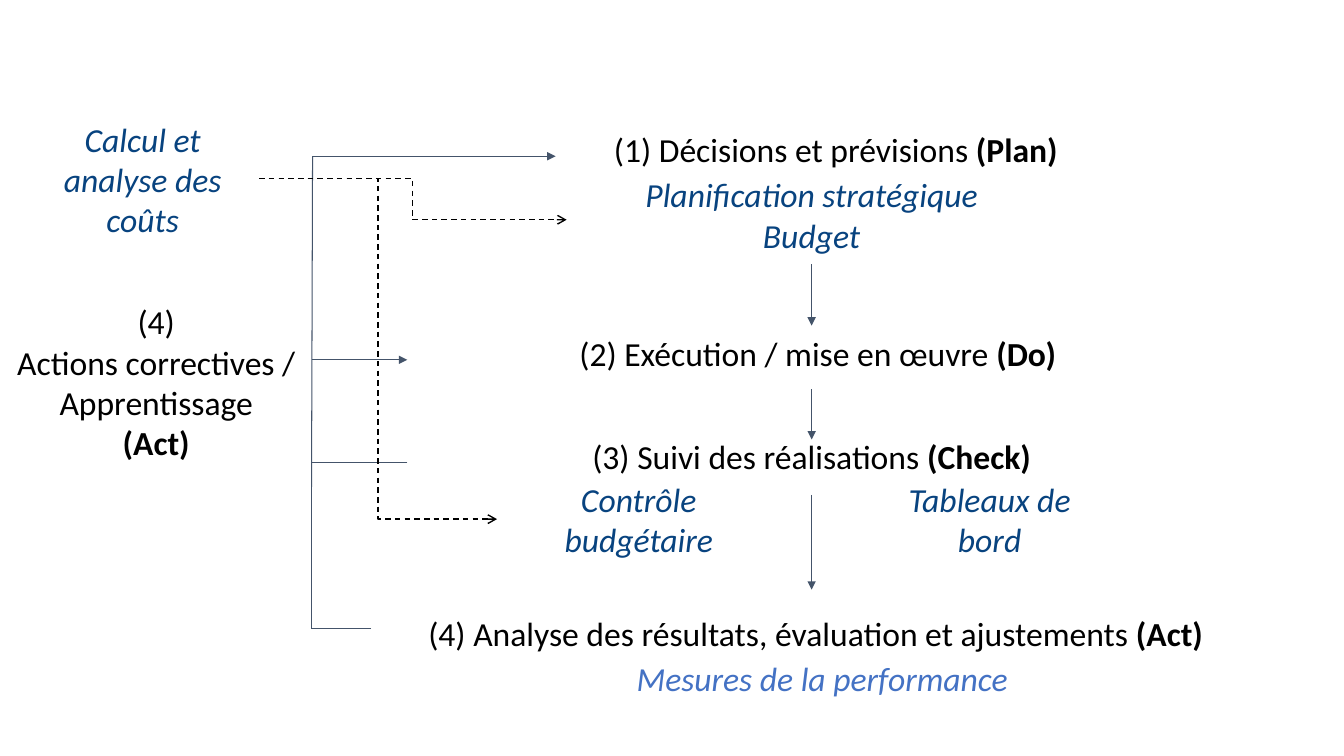
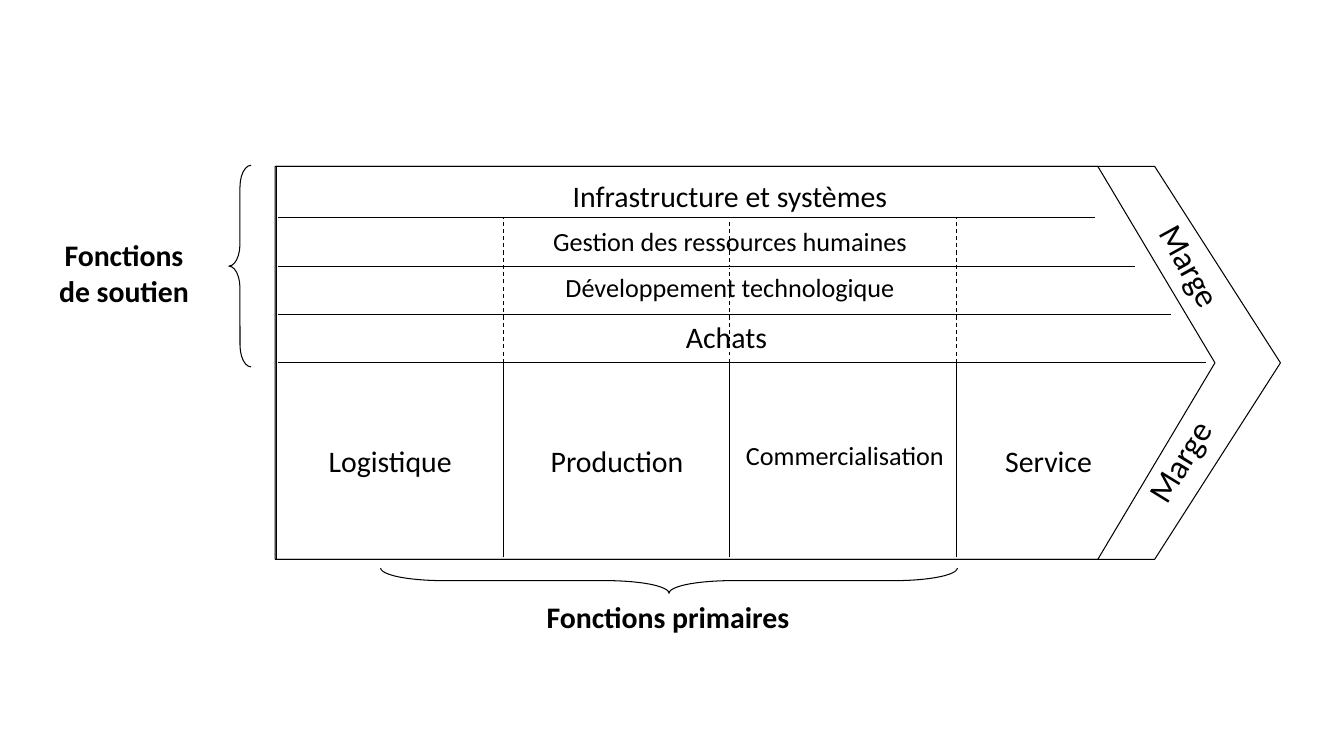
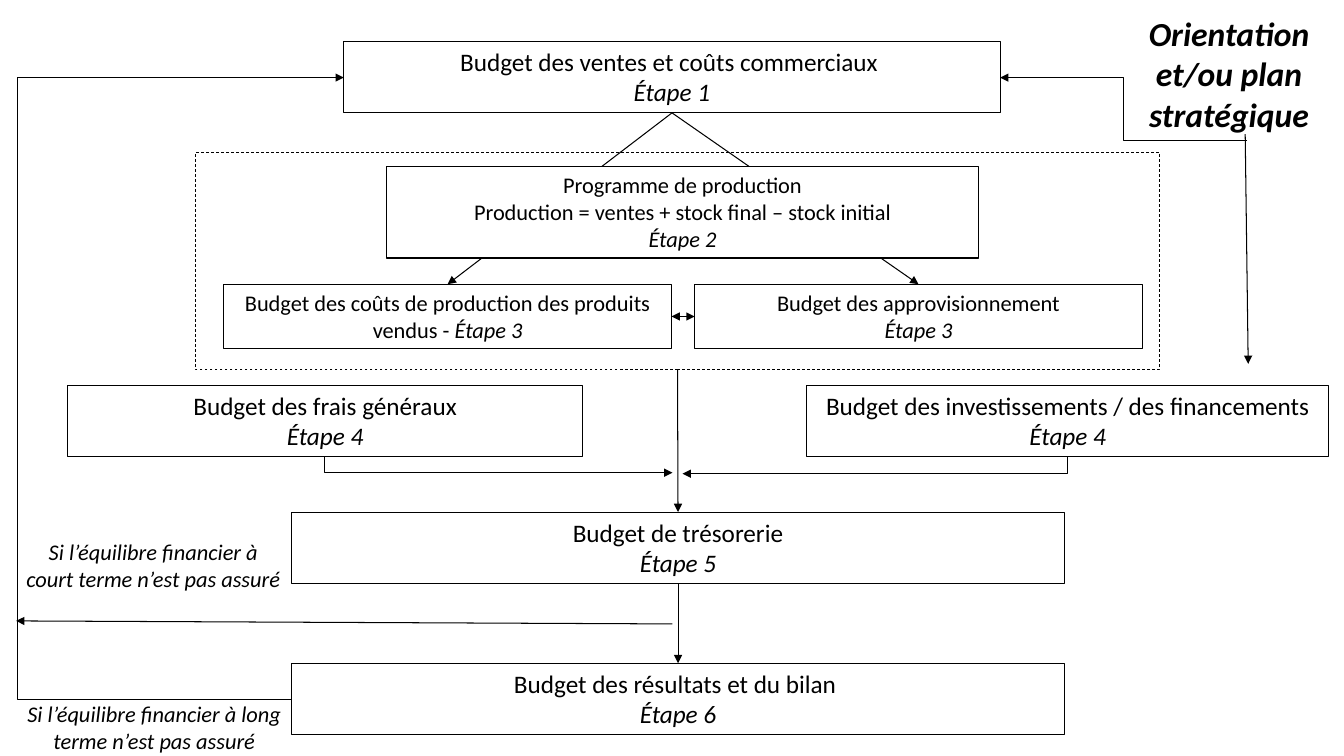
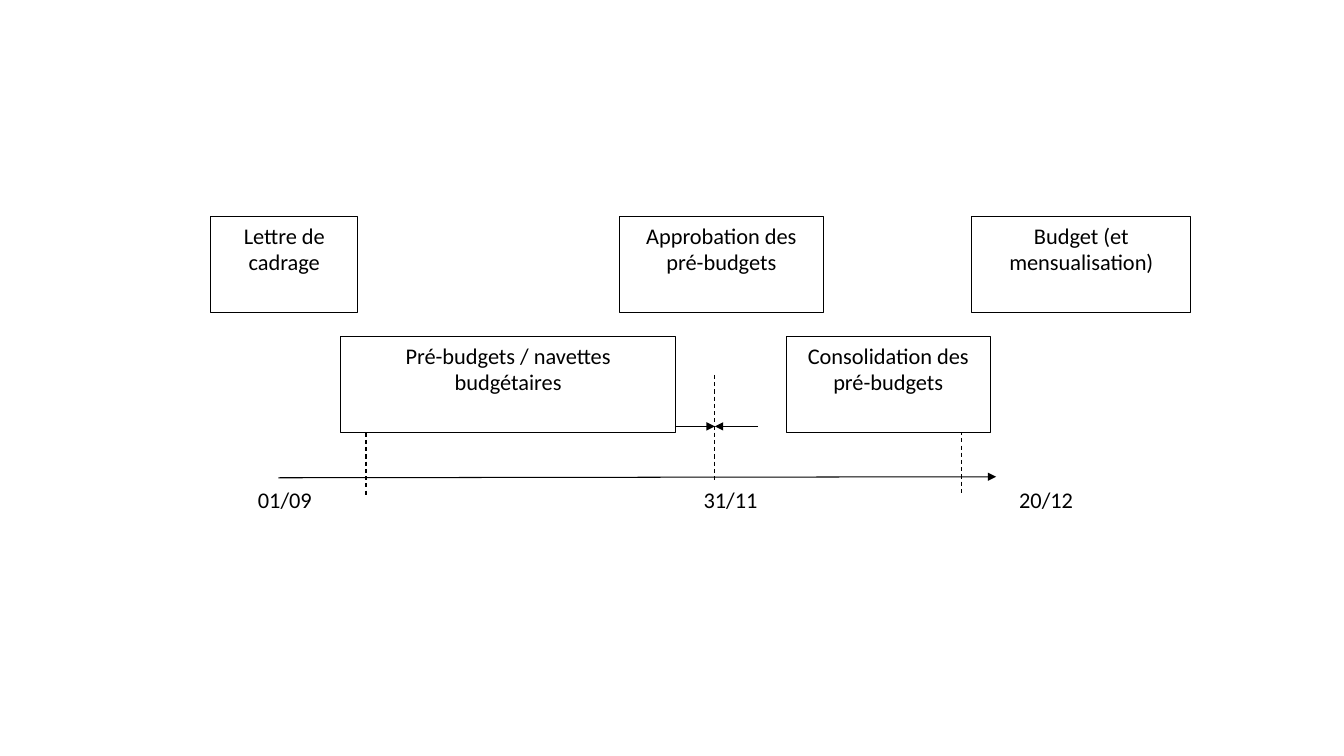
from lxml.etree import SubElement
from pptx import Presentation
from pptx.dml.color import RGBColor
from pptx.enum.dml import MSO_LINE_DASH_STYLE as Dash
from pptx.enum.shapes import MSO_CONNECTOR as Link, MSO_SHAPE as Shape
from pptx.enum.text import MSO_ANCHOR as Anchor, PP_ALIGN as Align
from pptx.oxml.ns import qn
from pptx.util import Inches, Pt

# Shared style
FONT = "Calibri"
BLACK, WHITE, NAVY, BLUE, SLATE = "000000", "FFFFFF", "08437F", "4472C4", "44546A"
THIN = 0.75
BOLD, ITALIC = {"bold": True}, {"italic": True}

# Slide 1: management cycle; (place, paragraphs, format)
TOOL = dict(size=24, color=NAVY, italic=True)
STEP = dict(size=24)
CYCLE_TEXTS = [
    ((5.53, 1.68, 5.04, 0.91), ["Planification stratégique", "Budget"], TOOL),
    ((5.62, 3.25, 4.98, 0.5), [["(2) Exécution / mise en œuvre ", ("(Do)", BOLD)]], dict(STEP, wrap=False)),
    ((5.51, 1.23, 5.56, 0.5), [["(1) Décisions et prévisions ", ("(Plan)", BOLD)]], STEP),
    ((4.93, 4.7, 2.81, 0.91), ["Contrôle budgétaire"], TOOL),
    ((8.57, 4.7, 2.49, 0.91), ["Tableaux de bord"], TOOL),
    ((5.11, 4.28, 5.88, 0.5), [["(3) Suivi des réalisations ", ("(Check)", BOLD)]], STEP),
    ((4.11, 6.03, 7.96, 0.5),
     [["(4) Analyse des résultats, évaluation et ajustements ", ("(Act)", BOLD)]], dict(STEP, wrap=False)),
    ((-0.05, 2.94, 3.2, 1.72),
     ["(4)", "Actions correctives /", "Apprentissage", [("(Act)", BOLD)]], STEP),
    ((0.26, 1.05, 2.31, 1.45), ["Calcul et analyse des coûts"],
     dict(TOOL, kind=Shape.ROUNDED_RECTANGLE, anchor=Anchor.MIDDLE)),
    ((5.53, 6.48, 5.25, 0.5), ["Mesures de la performance"], dict(TOOL, color=BLUE)),
]
SPINE_X, DOWN_X = 3.09, 8.05
CYCLE_LINES = [  # start, end, arrowhead
    ((4.04, 4.59), (SPINE_X, 4.59), None),
    ((SPINE_X, 4.83), (3.1, 1.55), None),
    ((SPINE_X, 6.24), (SPINE_X, 4.83), None),
    ((3.68, 6.24), (SPINE_X, 6.24), None),
    ((3.1, 1.55), (5.51, 1.55), "triangle"),
    ((SPINE_X, 3.57), (4.04, 3.57), "triangle"),
] + [((DOWN_X, top), (DOWN_X, bottom), "triangle")
     for top, bottom in ((2.62, 3.23), (3.86, 4.36), (4.91, 5.85))]
COST_EXIT = (2.57, 1.77)
COST_LINKS = [((5.62, 2.18), 4.09), ((4.93, 5.15), 3.75)]  # end, x of bend

# Slide 2: value chain
PLATES = [((2.73, 1.65, 9.97, 3.9), 0.32), ((2.74, 1.65, 9.31, 3.9), 0.298)]
ROW_TOP, ROW_STEP, ROW_ENDS = 2.16, 0.48, [10.86, 11.26, 11.61, 11.96]
COLUMN_LEFT, COLUMN_STEP = 4.99, 2.25
SUPPORT = [  # text, place, size
    ("Infrastructure et systèmes", (5.12, 1.71, 4.24, 0.46), 21.3),
    ("Gestion des ressources humaines", (5.12, 2.19, 4.24, 0.46), 18.7),
    ("Développement technologique", (5.12, 2.64, 4.24, 0.46), 18.7),
    ("Achats", (6.05, 3.11, 2.31, 0.42), 21.3),
]
PRIMARY = [  # text, centre, width, top, size
    ("Logistique", 3.87, 2.31, 4.34, 21.3),
    ("Production", 6.12, 2.31, 4.34, 21.3),
    ("Commercialisation", 8.38, 2.58, 4.31, 18.7),
    ("Service", 10.4, 2.31, 4.34, 21.3),
]
BRACES = [((2.27, 1.64, 0.22, 2), 0, 0.99), ((6.51, 2.9, 0.25, 5.72), 270, 2.49)]
GROUPS = [("Fonctions de soutien", (0.38, 2.3, 1.7, 0.68)),
          ("Fonctions primaires", (5.1, 5.89, 3.05, 0.68))]
MARGINS = [((11.15, 4.32, 1.09, 0.5), 301.5), ((11.27, 2.39, 1.09, 0.5), 61.1)]

# Slide 3: budget sequence; name: (place, paragraphs, size, fill)
BUDGETS = {
    "sales": ((3.41, 0.41, 6.51, 0.71),
              ["Budget des ventes et coûts commerciaux ", [("Étape 1", ITALIC)]], 18, WHITE),
    "costs": ((2.22, 2.82, 4.44, 0.64),
              [["Budget des coûts de production des produits vendus - ", ("Étape 3", ITALIC)]], 16, WHITE),
    "overheads": ((0.67, 3.82, 5.11, 0.71),
                  ["Budget des frais généraux", [("Étape 4", ITALIC)]], 18, WHITE),
    "supplies": ((6.89, 2.82, 4.44, 0.64),
                 ["Budget des approvisionnement", [("Étape 3", ITALIC)]], 16, WHITE),
    "cash": ((2.89, 5.08, 7.67, 0.71), ["Budget de trésorerie", [("Étape 5", ITALIC)]], 18, None),
    "results": ((2.89, 6.58, 7.67, 0.71),
                ["Budget des résultats et du bilan ", [("Étape 6", ITALIC)]], 18, None),
    "investments": ((8, 3.82, 5.18, 0.71),
                    ["Budget des investissements / des financements", [("Étape 4", ITALIC)]], 18, WHITE),
    "frame": ((1.94, 1.51, 9.56, 2.16), [], 16, None),
}
PROGRAMME = ((3.83, 1.65, 5.88, 0.91),
             ["Programme de production", "Production = ventes + stock final – stock initial",
              [("Étape 2", ITALIC)]])
TOP, LEFT, BOTTOM, RIGHT = range(4)
JOINS = [  # from, side, to, side, head at start
    ("sales", BOTTOM, "costs", TOP, None),
    ("sales", BOTTOM, "supplies", TOP, None),
    ("cash", BOTTOM, "results", TOP, None),
    ("frame", BOTTOM, "cash", TOP, None),
    ("costs", RIGHT, "supplies", LEFT, "triangle"),
]
BUDGET_NOTES = [
    ((0.26, 6.9, 2.54, 0.64), "Si l’équilibre financier à long terme n’est pas assuré"),
    ((0.26, 5.29, 2.52, 0.91), "Si l’équilibre financier à court terme n’est pas assuré"),
]
STRATEGY = ((10.95, 0.08, 2.48, 1.31), "Orientation et/ou plan stratégique")
FREE_ARROWS = [((6.67, 6.19), (0.16, 6.16)), ((12.35, 1.33), (12.38, 3.61))]
RETURNS = [((2.89, 6.94), (3.41, 0.77), 0.17), ((12.37, 1.39), (9.92, 0.77), 11.14)]
CORNERS = [((6.67, 4.69), (3.22, 4.53)), ((6.77, 4.7), (10.59, 4.53))]  # tip, box exit

# Slide 4: budget calendar
ROW_1, ROW_2, PHASE_HEIGHT = 2.15, 3.34, 0.95
PHASES = [  # text, left, top, width
    ("Lettre de cadrage", 2.09, ROW_1, 1.46),
    ("Pré-budgets / navettes budgétaires", 3.38, ROW_2, 3.32),
    ("Consolidation des pré-budgets", 7.8, ROW_2, 2.02),
    ("Approbation des pré-budgets", 6.14, ROW_1, 2.03),
    ("Budget (et mensualisation)", 9.64, ROW_1, 2.17),
]
DATES = [("01/09", 2.46), ("31/11", 6.88), ("20/12", 10.01)]
CALENDAR_ARROWS = [((2.76, 4.74), (9.88, 4.73)), ((6.66, 4.23), (7.09, 4.23)), ((7.52, 4.23), (7.09, 4.23))]
MILESTONES = [(3.63, 3.72), (7.09, 3.72), (9.54, 3.56)]  # x, top


def rgb(value):
    return RGBColor.from_string(value)


def set_line(line, color, width=THIN, dash=None):
    line.color.rgb = rgb(color)
    line.width = Pt(width)
    if dash:
        line.dash_style = dash


def add_box(page, place, paras=(), kind=None, fill=None, line=None, dash=None, width=THIN,
            size=16, color=BLACK, bold=False, italic=False, align=Align.CENTER,
            anchor=Anchor.TOP, wrap=True, side=0.1, turn=0, adjust=None):
    """A text box, or a preset shape when a kind is given."""
    place = [Inches(value) for value in place]
    if kind is None:
        box = page.shapes.add_textbox(*place)
    else:
        box = page.shapes.add_shape(kind, *place)
        box.shadow.inherit = False
        if adjust is not None:
            box.adjustments[0] = adjust
    box.rotation = turn
    if fill:
        box.fill.solid()
        box.fill.fore_color.rgb = rgb(fill)
    else:
        box.fill.background()
    if line:
        set_line(box.line, line, width, dash)
    else:
        box.line.fill.background()
    frame = box.text_frame
    settings = dict(word_wrap=wrap, vertical_anchor=anchor,
                    margin_left=Inches(side), margin_right=Inches(side))
    for name, value in settings.items():
        setattr(frame, name, value)
    base = dict(name=FONT, size=Pt(size), bold=bold, italic=italic)
    for index, spans in enumerate(paras):
        para = frame.add_paragraph() if index else frame.paragraphs[0]
        para.alignment = align
        for item in [spans] if isinstance(spans, str) else spans:
            text, extra = (item, {}) if isinstance(item, str) else item
            span = para.add_run()
            span.text = text
            for name, value in {**base, **extra}.items():
                setattr(span.font, name, value)
            span.font.color.rgb = rgb(color)
    return box


def add_link(page, start, end, color=BLACK, width=THIN, dash=None, head=None, tail=None,
             bend=None, corner=False):
    """A straight line; an elbow turning at x = bend; or a single corner."""
    elbow = corner or bend is not None
    link = page.shapes.add_connector(Link.ELBOW if elbow else Link.STRAIGHT,
                                     *(Inches(value) for value in start + end))
    set_line(link.line, color, width, dash)
    properties = link._element.spPr
    outline = properties.find(qn("a:ln"))
    for tag, kind in (("a:headEnd", head), ("a:tailEnd", tail)):
        if kind:
            SubElement(outline, qn(tag), type=kind)
    SubElement(properties, qn("a:effectLst"))
    geometry = properties.find(qn("a:prstGeom"))
    if corner:
        geometry.set("prst", "bentConnector2")
    elif elbow:
        share = round((bend - start[0]) / (end[0] - start[0]) * 100000)
        guides = geometry.find(qn("a:avLst"))
        SubElement(guides, qn("a:gd"), name="adj1", fmla=f"val {share}")
    return link


def build_cycle(page):
    for place, paras, style in CYCLE_TEXTS:
        add_box(page, place, paras, **style)
    for start, end, tail in CYCLE_LINES:
        add_link(page, start, end, color=SLATE, tail=tail)
    for end, bend in COST_LINKS:
        add_link(page, COST_EXIT, end, width=1, dash=Dash.DASH, tail="arrow", bend=bend)


def build_value_chain(page):
    for place, adjust in PLATES:
        add_box(page, place, kind=Shape.PENTAGON, line=BLACK, adjust=adjust)
    base = ROW_TOP + 3 * ROW_STEP
    for column in range(3):
        x = COLUMN_LEFT + column * COLUMN_STEP
        add_link(page, (x, 5.53), (x, base))
        add_link(page, (x, base), (x, ROW_TOP), dash=Dash.DASH)
    for text, place, size in SUPPORT:
        add_box(page, place, [text], kind=Shape.RECTANGLE, line=WHITE, size=size)
    for row, right in enumerate(ROW_ENDS):
        y = ROW_TOP + row * ROW_STEP
        add_link(page, (2.76, y), (right, y))
    for text, centre, width, top, size in PRIMARY:
        add_box(page, (centre - width / 2, top, width, 0.46), [text], size=size)
    for place, turn, adjust in BRACES:
        add_box(page, place, kind=Shape.LEFT_BRACE, line=BLACK, turn=turn, adjust=adjust)
    for text, place in GROUPS:
        add_box(page, place, [text], size=21.3, bold=True)
    for place, turn in MARGINS:
        add_box(page, place, ["Marge"], size=24, align=Align.LEFT, wrap=False, turn=turn)


def build_budgets(page):
    boxes = {}
    for name, (place, paras, size, fill) in BUDGETS.items():
        border = dict(width=0.5, dash=Dash.DASH) if name == "frame" else {}
        boxes[name] = add_box(page, place, paras, kind=Shape.RECTANGLE, fill=fill,
                              line=BLACK, size=size, **border)
    for place, text in BUDGET_NOTES:
        add_box(page, place, [text], italic=True, side=0)
    place, text = STRATEGY
    add_box(page, place, [text], size=24, bold=True, italic=True)
    for source, source_side, target, target_side, head in JOINS:
        link = add_link(page, (0, 0), (1, 1), head=head, tail="triangle")
        link.begin_connect(boxes[source], source_side)
        link.end_connect(boxes[target], target_side)
    for start, end in FREE_ARROWS:
        add_link(page, start, end, tail="triangle")
    for start, end, bend in RETURNS:
        add_link(page, start, end, tail="triangle", bend=bend)
    for tip, box_exit in CORNERS:
        add_link(page, tip, box_exit, head="triangle", corner=True)
    # The programme covers the arrows that pass behind it
    add_box(page, *PROGRAMME, kind=Shape.RECTANGLE, fill=WHITE, line=BLACK)


def build_calendar(page):
    for start, end in CALENDAR_ARROWS:
        add_link(page, start, end, tail="triangle")
    for x, top in MILESTONES:
        add_link(page, (x, top), (x, 4.92), dash=Dash.DASH)
    for text, left, top, width in PHASES:
        add_box(page, (left, top, width, PHASE_HEIGHT), [text], kind=Shape.RECTANGLE,
                fill=WHITE, line=BLACK)
    for text, left in DATES:
        add_box(page, (left, 4.77, 0.92, 0.48), [text], kind=Shape.RECTANGLE,
                fill=WHITE, align=Align.LEFT)


def main():
    deck = Presentation()
    deck.slide_width, deck.slide_height = Inches(13.33), Inches(7.5)
    for build in (build_cycle, build_value_chain, build_budgets, build_calendar):
        build(deck.slides.add_slide(deck.slide_layouts[6]))
    deck.save("out.pptx")


if __name__ == "__main__":
    main()
